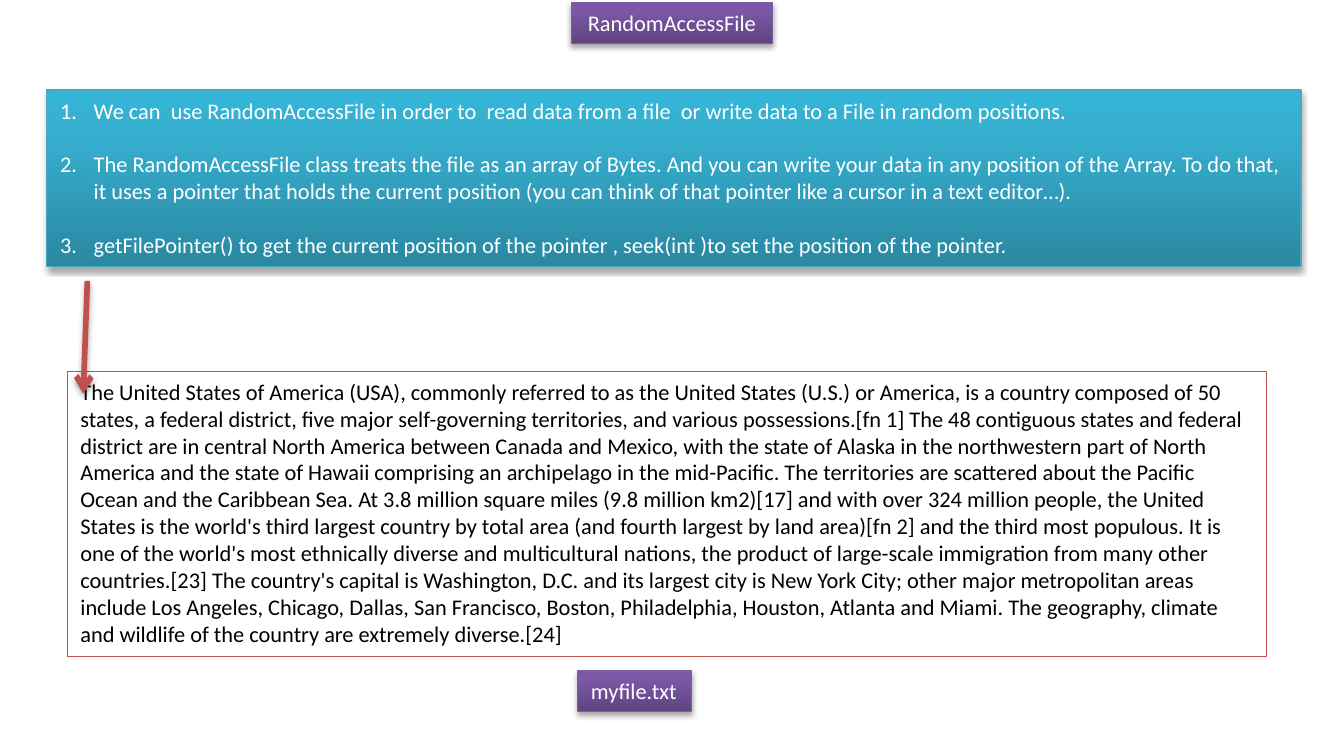
from copy import deepcopy

from lxml.etree import SubElement
from pptx import Presentation
from pptx.dml.color import RGBColor
from pptx.enum.shapes import MSO_CONNECTOR
from pptx.enum.text import MSO_ANCHOR, MSO_AUTO_SIZE, PP_ALIGN
from pptx.oxml.ns import qn
from pptx.util import Pt

WHITE = RGBColor(0xFF, 0xFF, 0xFF)
BLACK = RGBColor(0x00, 0x00, 0x00)
RED = RGBColor(0xC0, 0x50, 0x4D)
PURPLE_LINE = RGBColor(0x7D, 0x60, 0xA0)
PURPLES = (RGBColor(0x5F, 0x44, 0x80), RGBColor(0x7B, 0x58, 0xA6), RGBColor(0x7C, 0x57, 0xA8))
TEAL_LINE = RGBColor(0x46, 0xAA, 0xC5)
TEALS = (RGBColor(0x2A, 0x88, 0xA2), RGBColor(0x37, 0xB1, 0xD2), RGBColor(0x34, 0xB4, 0xD6))

FACTS = [
    "We can  use RandomAccessFile in order to  read data from a file  or write data to a File in random positions.",
    "The RandomAccessFile class treats the file as an array of Bytes. And you can write your data in any position of the Array. To do that, it uses a pointer that holds the current position (you can think of that pointer like a cursor in a text editor…).",
    "getFilePointer() to get the current position of the pointer , seek(int )to set the position of the pointer.",
]
FILE_SENTENCES = [
    "The United States of America (USA), commonly referred to as the United States (U.S.) or America, "
    "is a country composed of 50 states, a federal district, five major self-governing territories, "
    "and various possessions.[fn 1]",
    "The 48 contiguous states and federal district are in central North America between Canada and "
    "Mexico, with the state of Alaska in the northwestern part of North America and the state of "
    "Hawaii comprising an archipelago in the mid-Pacific.",
    "The territories are scattered about the Pacific Ocean and the Caribbean Sea.",
    "At 3.8 million square miles (9.8 million km2)[17] and with over 324 million people, the United "
    "States is the world's third largest country by total area (and fourth largest by land area)[fn 2] "
    "and the third most populous.",
    "It is one of the world's most ethnically diverse and multicultural nations, the product of "
    "large-scale immigration from many other countries.[23]",
    "The country's capital is Washington, D.C. and its largest city is New York City; other major "
    "metropolitan areas include Los Angeles, Chicago, Dallas, San Francisco, Boston, Philadelphia, "
    "Houston, Atlanta and Miami.",
    "The geography, climate and wildlife of the country are extremely diverse.[24]",
]


def add_shadow(shape):
    effects = SubElement(shape._element.spPr, qn("a:effectLst"))
    shadow = SubElement(effects, qn("a:outerShdw"), blurRad=str(Pt(3.15)), dist=str(Pt(1.8)),
                        dir="5400000", rotWithShape="0")
    color = SubElement(shadow, qn("a:srgbClr"), val="000000")
    SubElement(color, qn("a:alpha"), val="35000")


def fill_gradient(shape, colors):
    shape.fill.gradient()
    shape.fill.gradient_angle = 90
    stops = shape._element.spPr.find(".//" + qn("a:gsLst"))
    stops.insert(1, deepcopy(stops[0]))
    for stop, position, color in zip(shape.fill.gradient_stops, (0, 0.8, 1), colors):
        stop.position = position
        stop.color.rgb = color


prs = Presentation()
prs.slide_width, prs.slide_height = Pt(720), Pt(396)
slide = prs.slides.add_slide(prs.slide_layouts[1])

# Text: title, numbered facts, file content and file name
title = slide.shapes.title
title.text_frame.text = "RandomAccessFile"

facts = slide.placeholders[1]
facts.text_frame.text = "\n".join(FACTS)
for paragraph in facts.text_frame.paragraphs:
    properties = paragraph._p.get_or_add_pPr()
    properties.set("marL", str(Pt(18)))
    properties.set("indent", str(-Pt(18)))
    SubElement(properties, qn("a:buFont"), typeface="+mj-lt")
    SubElement(properties, qn("a:buAutoNum"), type="arabicPeriod")

file_content = slide.shapes.add_textbox(0, 0, 0, 0)
file_content.text_frame.text = " ".join(FILE_SENTENCES)
file_name = slide.shapes.add_textbox(0, 0, 0, 0)
file_name.text_frame.text = "myfile.txt"

# Places, outlines and fonts
for box, place, outline, width, ink in (
    (title, (306, 1.5, 108, 21.8), PURPLE_LINE, 0.75, WHITE),
    (facts, (25, 48.2, 672, 94.5), TEAL_LINE, 0.75, WHITE),
    (file_content, (36, 199, 642.5, 152.5), RED, 0.25, BLACK),
    (file_name, (309.5, 359.5, 61, 21.8), PURPLE_LINE, 0.75, WHITE),
):
    box.left, box.top, box.width, box.height = map(Pt, place)
    box.line.color.rgb = outline
    box.line.width = Pt(width)
    frame = box.text_frame
    frame.word_wrap = box is not file_name
    frame.auto_size = MSO_AUTO_SIZE.NONE
    frame.vertical_anchor = MSO_ANCHOR.TOP
    for index, paragraph in enumerate(frame.paragraphs):
        paragraph.alignment = PP_ALIGN.CENTER if box is title else PP_ALIGN.LEFT
        paragraph.space_before = Pt(14.4 if index else 0)
        for run in paragraph.runs:
            run.font.name = "Calibri"
            run.font.size = Pt(12)
            run.font.color.rgb = ink

# Fills and shadows
file_content.fill.solid()
file_content.fill.fore_color.rgb = WHITE
for box, colors in ((title, PURPLES), (facts, TEALS), (file_name, PURPLES)):
    fill_gradient(box, colors)
    add_shadow(box)

# File pointer at the start of the content
pointer = slide.shapes.add_connector(MSO_CONNECTOR.STRAIGHT, Pt(46.8), Pt(150.5), Pt(44.6), Pt(211))
pointer.line.color.rgb = RED
pointer.line.width = Pt(3)
SubElement(pointer._element.spPr.find(qn("a:ln")), qn("a:tailEnd"), type="arrow")
add_shadow(pointer)

prs.save("out.pptx")
